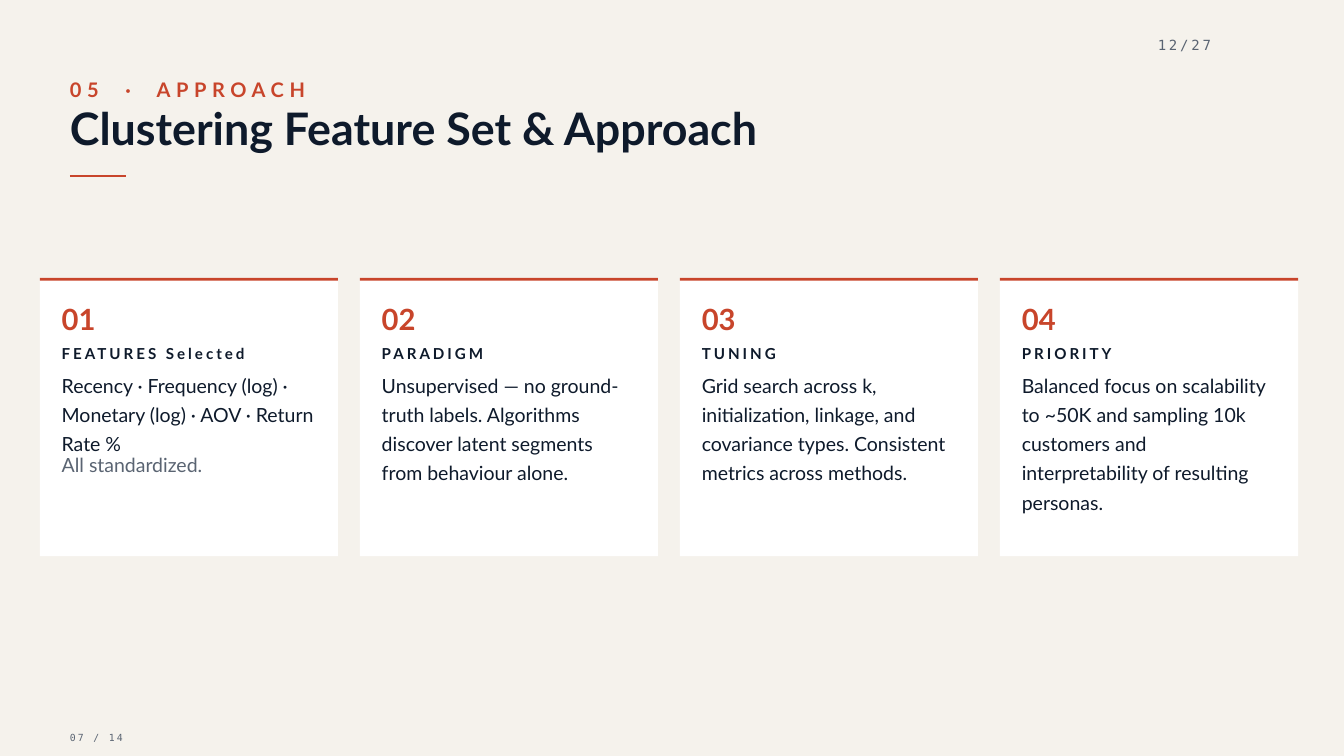
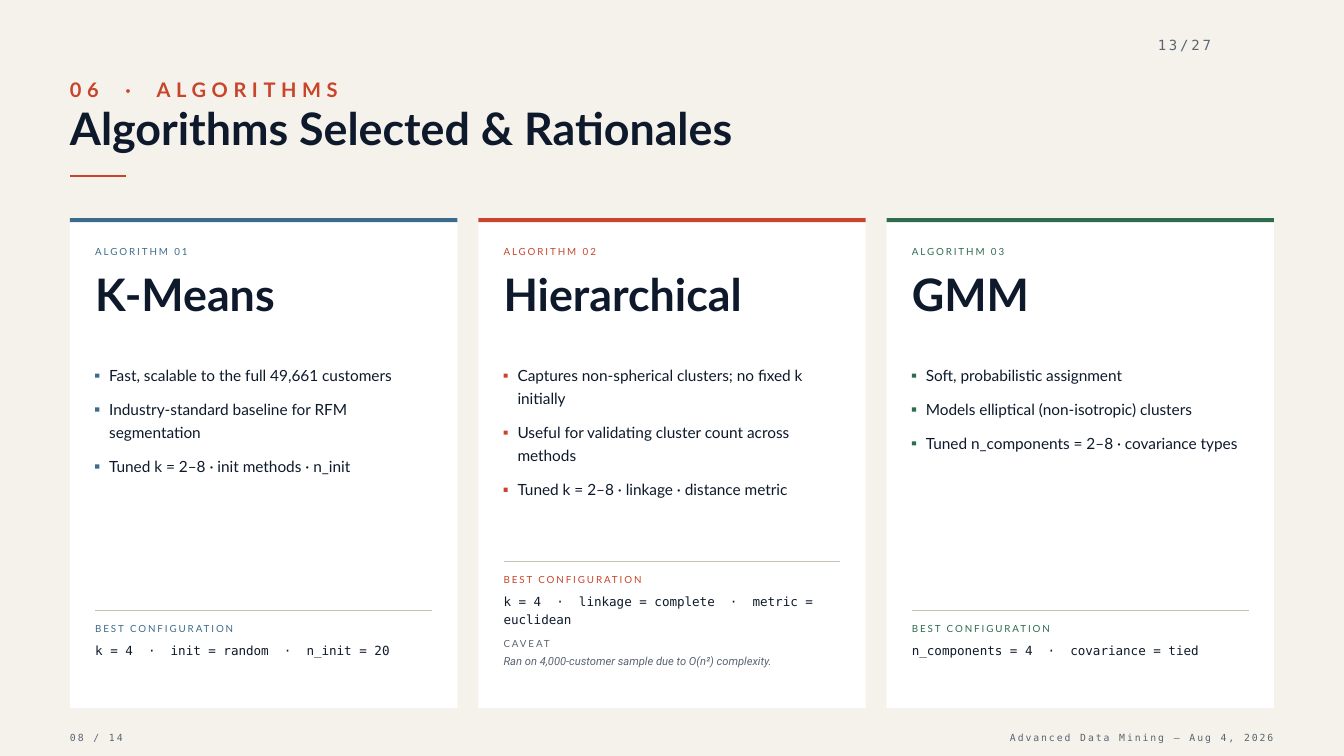
"""Build two slides on the clustering approach and the chosen algorithms."""
from math import ceil

from lxml.etree import SubElement
from pptx import Presentation
from pptx.dml.color import RGBColor as RGB
from pptx.enum.shapes import MSO_CONNECTOR as LINK, MSO_SHAPE as SHAPE
from pptx.enum.text import MSO_AUTO_SIZE as FIT, PP_ALIGN as ALIGN
from pptx.oxml.ns import qn
from pptx.util import Pt

INK = {
    "paper": "F5F2EC", "white": "FFFFFF", "navy": "0E1A2B", "grey": "5A6472",
    "sand": "C9C2B4", "red": "C8452B", "blue": "3D6B8A", "green": "2F6B4F",
}
SANS, MONO = "Lato", "DejaVu Sans Mono"

# style: font, size, line height, bold, italic, letter spacing
STYLE = {
    "kicker": (SANS, 21.5, 30.1, True, False, 6),
    "title": (SANS, 48, 51.8, True, False, 0),
    "count": (MONO, 15, 21, False, False, 3),
    "foot": (MONO, 10.5, 14.7, False, False, 2.1),
    "number": (SANS, 31.3, 43.9, True, False, 0),
    "head": (SANS, 16.2, 22.7, True, False, 3.2),
    "body": (SANS, 20.9, 31.35, False, False, 0),
    "note": (SANS, 20.9, 30.3, False, False, 0),
    "tag": (SANS, 10.5, 14.7, False, False, 2.1),
    "point": (SANS, 16.5, 24.8, False, False, 0),
    "config": (MONO, 13.5, 18.9, False, False, 0),
    "caveat": ("Roboto", 12, 16.8, False, True, 0),
}

STEPS = [
    ("FEATURES Selected",
     "Recency · Frequency (log) · Monetary (log) · AOV · Return Rate %",
     "All standardized."),
    ("PARADIGM",
     "Unsupervised — no ground-truth labels. Algorithms discover latent "
     "segments from behaviour alone.", ""),
    ("TUNING",
     "Grid search across k, initialization, linkage, and covariance types. "
     "Consistent metrics across methods.", ""),
    ("PRIORITY",
     "Balanced focus on scalability to ~50K and sampling 10k customers and "
     "interpretability of resulting personas.", ""),
]

MODELS = [
    ("K-Means", "blue",
     ["Fast, scalable to the full 49,661 customers",
      "Industry-standard baseline for RFM segmentation",
      "Tuned k = 2–8 · init methods · n_init"],
     "k = 4  ·  init = random  ·  n_init = 20", ""),
    ("Hierarchical", "red",
     ["Captures non-spherical clusters; no fixed k initially",
      "Useful for validating cluster count across methods",
      "Tuned k = 2–8 · linkage · distance metric"],
     "k = 4  ·  linkage = complete  ·  metric = euclidean",
     "Ran on 4,000-customer sample due to O(n²) complexity."),
    ("GMM", "green",
     ["Soft, probabilistic assignment",
      "Models elliptical (non-isotropic) clusters",
      "Tuned n_components = 2–8 · covariance types"],
     "n_components = 4  ·  covariance = tied", ""),
]

LEFT, WIDE = 75, 1290


def rgb(name):
    return RGB.from_string(INK[name])


def block(slide, x, y, w, h, tint):
    box = slide.shapes.add_shape(SHAPE.RECTANGLE, Pt(x), Pt(y), Pt(w), Pt(h))
    box.shadow.inherit = False
    box.fill.solid()
    box.fill.fore_color.rgb = rgb(tint)
    box.line.fill.background()


def rule(slide, x, y, w, tint, thick):
    line = slide.shapes.add_connector(
        LINK.STRAIGHT, Pt(x), Pt(y), Pt(x + w), Pt(y))
    line.line.color.rgb = rgb(tint)
    line.line.width = Pt(thick)
    SubElement(line._element.spPr, qn("a:effectLst"))


def write(slide, x, y, w, text, style, tint="navy", rows=1, align=ALIGN.LEFT):
    face, size, lead, bold, slant, track = STYLE[style]
    box = slide.shapes.add_textbox(Pt(x), Pt(y), Pt(w), Pt(lead * rows))
    frame = box.text_frame
    frame.margin_left = frame.margin_right = 0
    frame.margin_top = frame.margin_bottom = 0
    frame.word_wrap = True
    frame.auto_size = FIT.SHAPE_TO_FIT_TEXT
    frame.text = text
    para = frame.paragraphs[0]
    para.alignment = align
    para.line_spacing = Pt(lead)
    run = para.runs[0]
    font = run.font
    font.name, font.size = face, Pt(size)
    font.bold, font.italic = bold, slant
    font.color.rgb = rgb(tint)
    if track:
        run._r.get_or_add_rPr().set("spc", str(round(track * 100)))


def start(deck, kicker, title, count, page, credit=""):
    slide = deck.slides.add_slide(deck.slide_layouts[6])
    slide.background.fill.solid()
    slide.background.fill.fore_color.rgb = rgb("paper")
    write(slide, LEFT, 782, 150, page, "foot", "grey")
    if credit:
        write(slide, 690, 782, 675, credit, "foot", "grey", align=ALIGN.RIGHT)
    write(slide, LEFT, 78.5, 1050, kicker, "kicker", "red")
    write(slide, LEFT, 113.5, WIDE, title, "title")
    rule(slide, LEFT, 188.3, 60, "red", 2.25)
    write(slide, 1240.5, 36, 150, count, "count", "grey")
    return slide


def card(slide, x, y, w, h, bar, tint):
    block(slide, x, y, w, h, "white")
    block(slide, x, y, w, bar, tint)


def approach(deck):
    slide = start(deck, "05  ·  APPROACH", "Clustering Feature Set & Approach",
                  "12/27", "07 / 14")
    w, gap, pad = 319.5, 23.4, 23.5
    for i, (head, body, note) in enumerate(STEPS):
        x = 42.6 + i * (w + gap)
        card(slide, x, 297.8, w, 298, 3, "red")
        x, span = x + pad, w - 2 * pad
        write(slide, x, 316.4, span, f"{i + 1:02}", "number", "red")
        write(slide, x, 366, span, head, "head")
        write(slide, x, 394.1, span, body, "body", rows=ceil(len(body) / 26))
        if note:
            write(slide, x, 480, span, note, "note", "grey")


def bullets(slide, x, y, span, points, tint):
    lead = STYLE["point"][2]
    for point in points:
        rows = ceil(len(point) / 45)
        block(slide, x, y + 12.7, 4.5, 4.5, tint)
        write(slide, x + 15, y, span - 15, point, "point", rows=rows)
        y += rows * lead + 11.5


def models(deck):
    slide = start(deck, "06  ·  ALGORITHMS", "Algorithms Selected & Rationales",
                  "13/27", "08 / 14", "Advanced Data Mining — Aug 4, 2026")
    gap, pad = 22.5, 27
    w = (WIDE - gap * (len(MODELS) - 1)) / len(MODELS)
    for i, (name, tint, points, config, caveat) in enumerate(MODELS):
        x = LEFT + i * (w + gap)
        card(slide, x, 233.8, w, 525, 4.3, tint)
        x, span = x + pad, w - 2 * pad
        write(slide, x, 261.5, span, f"ALGORITHM {i + 1:02}", "tag", tint)
        write(slide, x, 291.5, span, name, "title")
        bullets(slide, x, 387.5, span, points, tint)
        y = 601.5 if caveat else 654
        rule(slide, x, y + 0.4, span, "sand", 0.75)
        write(slide, x, y + 11.5, span, "BEST CONFIGURATION", "tag", tint)
        write(slide, x, y + 32.3, span, config, "config",
              rows=ceil(len(config) / 44))
        if caveat:
            write(slide, x, y + 80, span, "CAVEAT", "tag", "grey")
            write(slide, x, y + 97.5, span, caveat, "caveat", "grey")


def main():
    deck = Presentation()
    deck.slide_width, deck.slide_height = Pt(1440), Pt(810)
    approach(deck)
    models(deck)
    deck.save("out.pptx")


if __name__ == "__main__":
    main()
